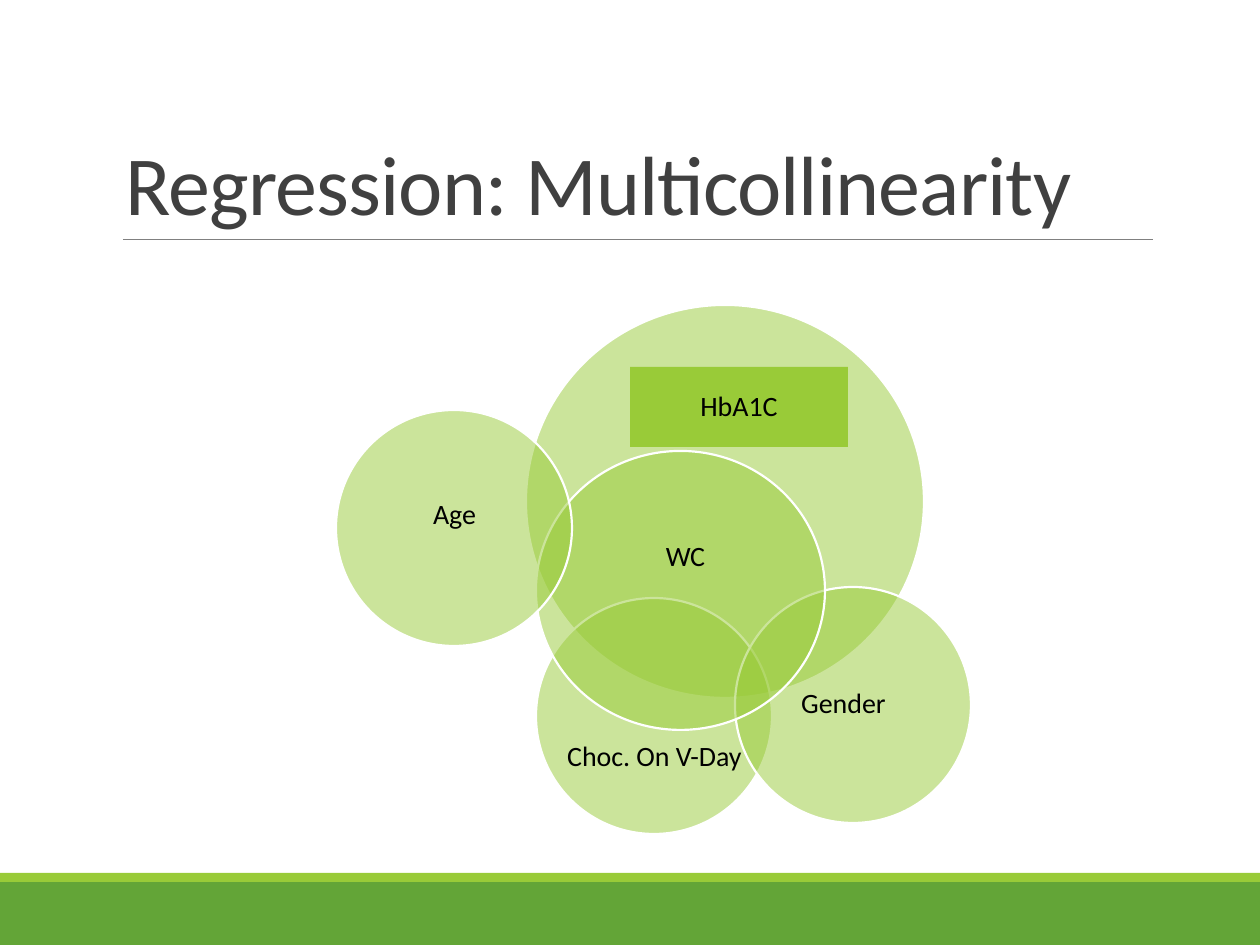
"""Build the multicollinearity slide with its overlapping circles."""
import pptx
import pptx.dml.color
import pptx.enum.shapes
import pptx.enum.text
import pptx.util
from lxml import etree
from pptx.oxml.ns import qn

RGBColor = pptx.dml.color.RGBColor
Pt = pptx.util.Pt
SHAPE = pptx.enum.shapes.MSO_SHAPE
ANCHOR = pptx.enum.text.MSO_ANCHOR
ALIGN = pptx.enum.text.PP_ALIGN

GREEN = RGBColor(0x63, 0xA5, 0x37)
LIME = RGBColor(0x99, 0xCB, 0x38)
GRAY = RGBColor(0x80, 0x80, 0x80)
CHARCOAL = RGBColor(0x40, 0x40, 0x40)
WHITE = RGBColor(0xFF, 0xFF, 0xFF)
BLACK = RGBColor(0, 0, 0)
FONT = "Calibri"
EMU_PER_PIXEL = 914400 // 126

TITLE = "Regression: Multicollinearity"
TITLE_FRAME = (113, 39, 1040, 200)
RULE = (123, 239, 1153, 239)
FOOTER_BANDS = [((0, 882, 1260, 63), GREEN), ((0, 873, 1260, 9), LIME)]
OUTCOME = ("HbA1C", (526, 305, 398, 393), (630, 367, 218, 80))
SMALL = (236, 236)
LABEL = (195, 87)
PREDICTORS = [
    ("Choc. On V-Day", (536, 598, *SMALL), (557, 714, *LABEL)),
    ("Gender", (735, 587, *SMALL), (746, 661, *LABEL)),
    ("WC", (536, 451, 289, 279), (588, 514, *LABEL)),
    ("Age", (336, 410, *SMALL), (357, 472, *LABEL)),
]


def scaled(frame):
    return [pixels * EMU_PER_PIXEL for pixels in frame]


def add_block(kind, frame, color):
    block = page.shapes.add_shape(kind, *scaled(frame))
    block.shadow.inherit = False
    block.fill.solid()
    block.fill.fore_color.rgb = color
    block.line.fill.background()
    return block


def add_circle(frame):
    circle = add_block(SHAPE.OVAL, frame, LIME)
    circle.line.color.rgb = WHITE
    circle.line.width = Pt(1.25)
    color = circle.fill._xPr.find(qn("a:solidFill"))[0]
    etree.SubElement(color, qn("a:alpha"), val="50000")


def style(para, size, color, spacing):
    para.font.name = FONT
    para.font.size = Pt(size)
    para.font.color.rgb = color
    para.line_spacing = spacing


def add_label(text, frame):
    box = page.shapes.add_textbox(*scaled(frame))
    body = box.text_frame
    body.margin_left = body.margin_right = body.margin_top = body.margin_bottom = 0
    body.word_wrap = True
    body.vertical_anchor = ANCHOR.MIDDLE
    para = body.paragraphs[0]
    para.text = text
    para.alignment = ALIGN.CENTER
    style(para, 16, BLACK, 0.9)


deck = pptx.Presentation()
deck.slide_width, deck.slide_height = scaled((1260, 945))
page = deck.slides.add_slide(deck.slide_layouts[5])

for frame, color in FOOTER_BANDS:
    add_block(SHAPE.RECTANGLE, frame, color)

rule = page.shapes.add_connector(pptx.enum.shapes.MSO_CONNECTOR.STRAIGHT, *scaled(RULE))
rule.line.color.rgb = GRAY
rule.line.width = Pt(0.5)
etree.SubElement(rule._element.spPr, qn("a:effectLst"))

title = page.shapes.title
title.left, title.top, title.width, title.height = scaled(TITLE_FRAME)
title.text_frame.text = TITLE
title.text_frame.vertical_anchor = ANCHOR.BOTTOM
title.text_frame.auto_size = pptx.enum.text.MSO_AUTO_SIZE.NONE
heading = title.text_frame.paragraphs[0]
heading.alignment = ALIGN.LEFT
style(heading, 48, CHARCOAL, 0.85)
heading.runs[0]._r.get_or_add_rPr().set("spc", "-50")

name, circle_frame, label_frame = OUTCOME
add_circle(circle_frame)
add_block(SHAPE.RECTANGLE, label_frame, LIME)
add_label(name, label_frame)
for name, circle_frame, label_frame in PREDICTORS:
    add_circle(circle_frame)
    add_label(name, label_frame)

deck.save("out.pptx")
